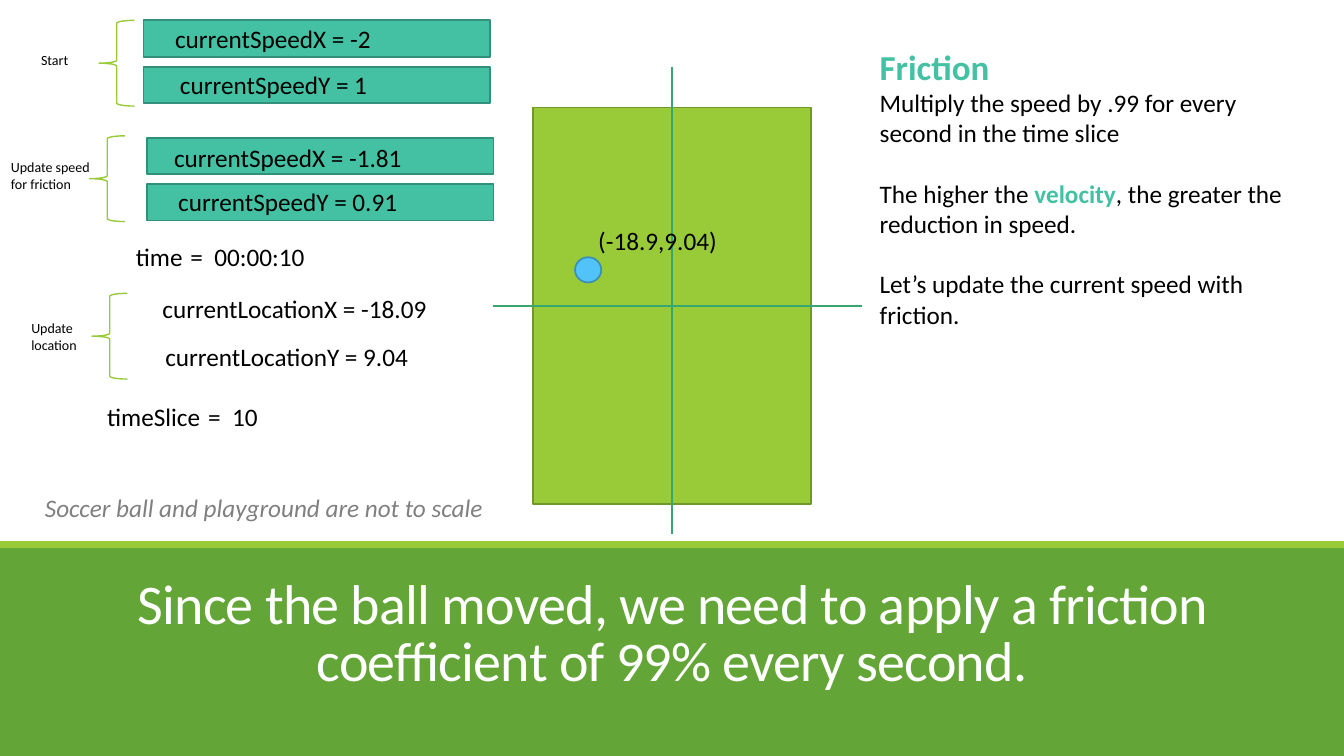
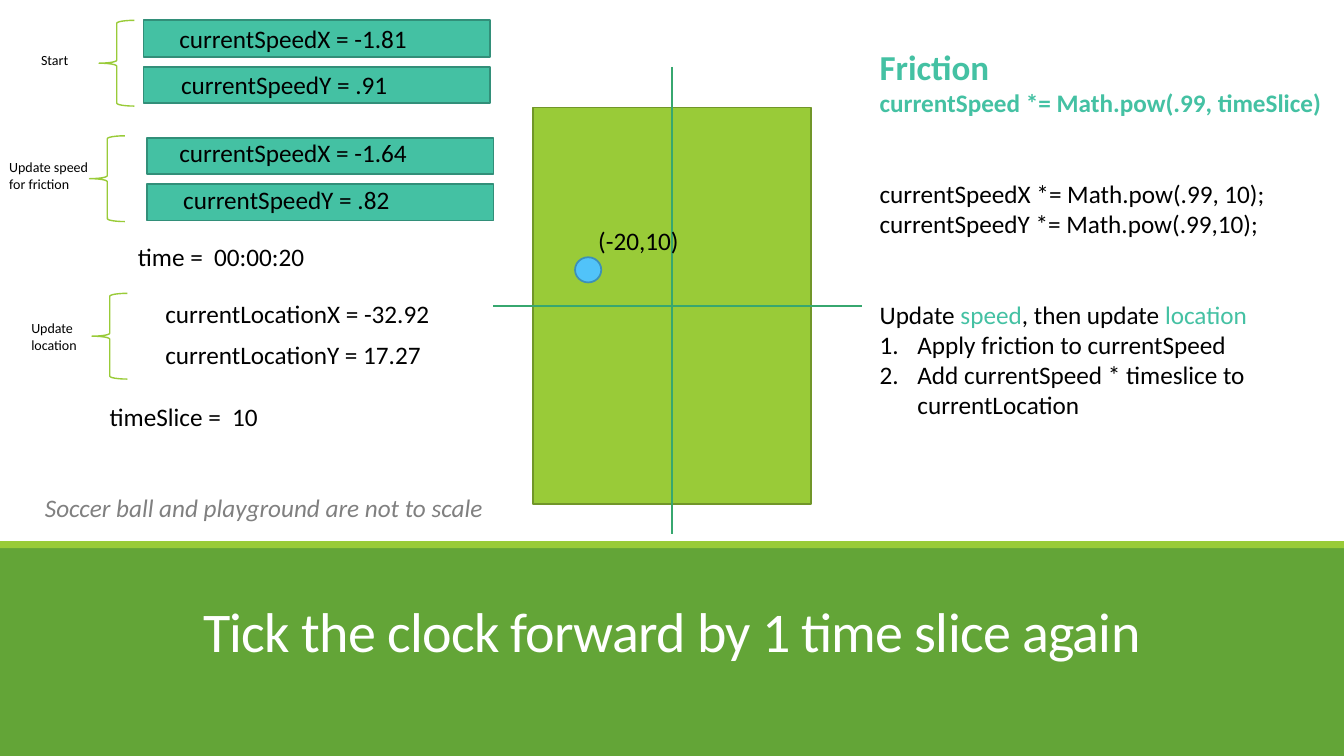
from lxml import etree
from pptx import Presentation
from pptx.dml.color import RGBColor
from pptx.enum.shapes import MSO_CONNECTOR, MSO_SHAPE
from pptx.enum.text import MSO_ANCHOR, PP_ALIGN
from pptx.oxml.ns import qn
from pptx.util import Pt

RECT = MSO_SHAPE.RECTANGLE
OVAL = MSO_SHAPE.OVAL
BRACE = MSO_SHAPE.LEFT_BRACE
STRAIGHT = MSO_CONNECTOR.STRAIGHT
MIDDLE = MSO_ANCHOR.MIDDLE
CENTER = PP_ALIGN.CENTER

FONT = "Calibri"
BLACK, WHITE, GRAY = "000000", "FFFFFF", "808080"
GREEN, LIME, LIME_EDGE = "63A537", "99CB38", "719629"
TEAL, TEAL_EDGE, AXIS = "44C1A3", "328F79", "37A76F"
BLUE, BLUE_EDGE = "51C3F9", "3C90B8"
WIDTH, HEIGHT = 960, 540
TEXT_SIZE, NOTE_SIZE, HEAD_SIZE, TITLE_SIZE = 18, 10, 25, 40
LINE_GAP = 21.6
LIST_INDENT = 27


def color(hex_code):
    return RGBColor.from_string(hex_code)


class Deck:
    def __init__(self):
        self.file = Presentation()
        self.file.slide_width, self.file.slide_height = Pt(WIDTH), Pt(HEIGHT)
        self.slide = None

    def new_slide(self, title):
        self.slide = self.file.slides.add_slide(self.file.slide_layouts[5])
        self.shape(RECT, (0, 390.25, WIDTH, 149.75), GREEN)
        self.title(title)
        self.shape(RECT, (0, 386.5, WIDTH, 5), LIME)

    def title(self, words):
        heading = self.slide.shapes.title
        self.slide.shapes._spTree.append(heading._element)
        heading.left, heading.top, heading.width, heading.height = map(Pt, (84, 413.25, 792, 81.5))
        frame = heading.text_frame
        frame.word_wrap = True
        frame.vertical_anchor = MIDDLE
        paragraph = frame.paragraphs[0]
        paragraph.alignment = CENTER
        paragraph.line_spacing = 0.85
        run = self.run(paragraph, words, TITLE_SIZE, WHITE)
        run.font._element.set("spc", "-50")

    def shape(self, kind, box, fill=None, edge=None, edge_width=1.25):
        shape = self.slide.shapes.add_shape(kind, *map(Pt, box))
        shape.shadow.inherit = False
        if fill:
            shape.fill.solid()
            shape.fill.fore_color.rgb = color(fill)
        else:
            shape.fill.background()
        if edge:
            shape.line.color.rgb = color(edge)
            shape.line.width = Pt(edge_width)
        else:
            shape.line.fill.background()

    def line(self, start, end):
        connector = self.slide.shapes.add_connector(STRAIGHT, *map(Pt, start + end))
        connector.line.color.rgb = color(AXIS)
        connector.line.width = Pt(1)
        etree.SubElement(connector._element.spPr, qn("a:effectLst"))

    def run(self, paragraph, words, size=TEXT_SIZE, ink=BLACK, bold=False, italic=False):
        run = paragraph.add_run()
        run.text = words
        run.font.name = FONT
        run.font.size = Pt(size)
        run.font.bold = bold
        run.font.italic = italic
        run.font.color.rgb = color(ink)
        return run

    def text(self, box, *paragraphs, **style):
        frame = self.slide.shapes.add_textbox(*map(Pt, box)).text_frame
        frame.word_wrap = True
        for index, content in enumerate(paragraphs):
            paragraph = frame.paragraphs[0] if index == 0 else frame.add_paragraph()
            content = {"runs": content} if isinstance(content, list) else content
            paragraph.space_before = Pt(content.get("gap", 0))
            for words, look in content["runs"]:
                self.run(paragraph, words, **{**style, **look})
            if content.get("numbered"):
                properties = paragraph._p.get_or_add_pPr()
                properties.set("marL", str(Pt(LIST_INDENT)))
                properties.set("indent", str(-Pt(LIST_INDENT)))
                bullet = etree.SubElement(properties, qn("a:buFont"))
                bullet.set("typeface", "+mj-lt")
                number = etree.SubElement(properties, qn("a:buAutoNum"))
                number.set("type", "arabicPeriod")

    def playground(self, ball_label):
        self.shape(RECT, (380.5, 76.75, 198.75, 283.5), LIME, LIME_EDGE)
        self.line((480, 47.75), (480, 381.5))
        self.line((352.25, 218.5), (615.5, 218.5))
        self.text((25, 348.25, 500, 29), plain("Soccer ball and playground are not to scale"),
                  ink=GRAY, italic=True)
        self.shape(OVAL, (410.75, 183.75, 18.75, 18), BLUE, BLUE_EDGE)
        self.text((420.25, 157.25, 101.5, 29), plain(ball_label))

    def stages(self, friction_left):
        for left, top in ((102.5, 14.5), (102.5, 47.75), (105, 98.5), (105, 131.5)):
            self.shape(RECT, (left, top, 247.5, 26), TEAL, TEAL_EDGE)
        for left, top in ((70.75, 14.5), (64, 97), (65.75, 209.5)):
            self.shape(BRACE, (left, top, 25.25, 61.25), edge=LIME, edge_width=1)
        for left, top, words in ((22.25, 33, ["Start"]),
                                 (friction_left, 109.5, ["Update speed ", "for friction"]),
                                 (15.25, 224.5, ["Update ", "location"])):
            self.text((left, top, 78.5, 31.5), *map(plain, words), size=NOTE_SIZE)

    def readouts(self, *values):
        for left, top, runs in values:
            self.text((left, top, 280, 29), runs)


def plain(words):
    return [(words, {})]


def spaced(name, value):
    return [(name, {}), (" ", {"size": HEAD_SIZE}), (value, {})]


STRONG = {"ink": TEAL, "bold": True}
ACCENT = {"ink": TEAL}
FRICTION = [("Friction", {"size": HEAD_SIZE, **STRONG})]

deck = Deck()

deck.new_slide("Since the ball moved, we need to apply a friction coefficient of 99% every second.")
deck.playground("(-18.9,9.04)")
deck.stages(0.75)
deck.readouts(
    (118, 13, plain("currentSpeedX = -2")),
    (121.5, 46, plain("currentSpeedY = 1")),
    (117.25, 98, plain("currentSpeedX = -1.81")),
    (120.25, 129.5, plain("currentSpeedY = 0.91")),
    (90, 162, spaced("time", "=  00:00:10")),
    (109, 206, plain("currentLocationX = -18.09")),
    (111, 240, plain("currentLocationY = 9.04")),
    (69.5, 276.25, spaced("timeSlice", "=  10")),
)
deck.text(
    (621.25, 28.75, 318.25, 234),
    FRICTION,
    plain("Multiply the speed by .99 for every second in the time slice"),
    {"gap": LINE_GAP, "runs": [("The higher the ", {}), ("velocity", STRONG),
                               (", the greater the reduction in speed.", {})]},
    {"gap": LINE_GAP, "runs": plain("Let’s update the current speed with friction.")},
)

deck.new_slide("Tick the clock forward by 1 time slice again")
deck.playground("(-20,10)")
deck.stages(-0.5)
deck.readouts(
    (121, 13, plain("currentSpeedX = -1.81")),
    (122.25, 46, plain("currentSpeedY = .91")),
    (121, 94.75, plain("currentSpeedX = -1.64")),
    (123.75, 128.25, plain("currentSpeedY = .82")),
    (91.5, 168.75, plain("time =  00:00:20")),
    (111, 209.5, plain("currentLocationX = -32.92")),
    (111, 239, plain("currentLocationY = 17.27")),
    (71.25, 283, plain("timeSlice =  10")),
)
deck.text(
    (621.25, 28.75, 332.5, 329.75),
    FRICTION,
    [("currentSpeed *= Math.pow(.99, timeSlice)", STRONG)],
    {"gap": 2 * LINE_GAP, "runs": plain("currentSpeedX *= Math.pow(.99, 10);")},
    plain("currentSpeedY *= Math.pow(.99,10);"),
    {"gap": 2 * LINE_GAP, "runs": [("Update ", {}), ("speed", ACCENT),
                                   (", then update ", {}), ("location", ACCENT)]},
    {"numbered": True, "runs": plain("Apply friction to currentSpeed")},
    {"numbered": True, "runs": plain("Add currentSpeed * timeslice to currentLocation")},
)

deck.file.save("out.pptx")
